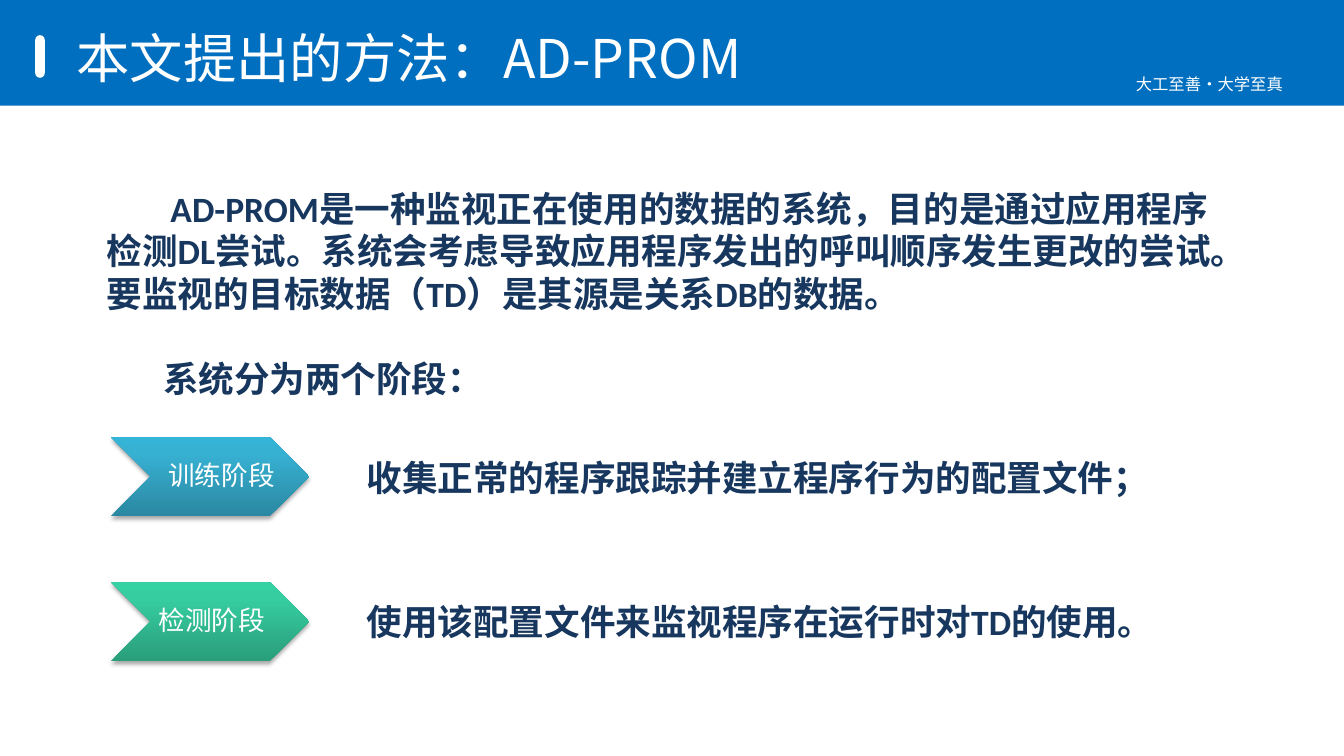
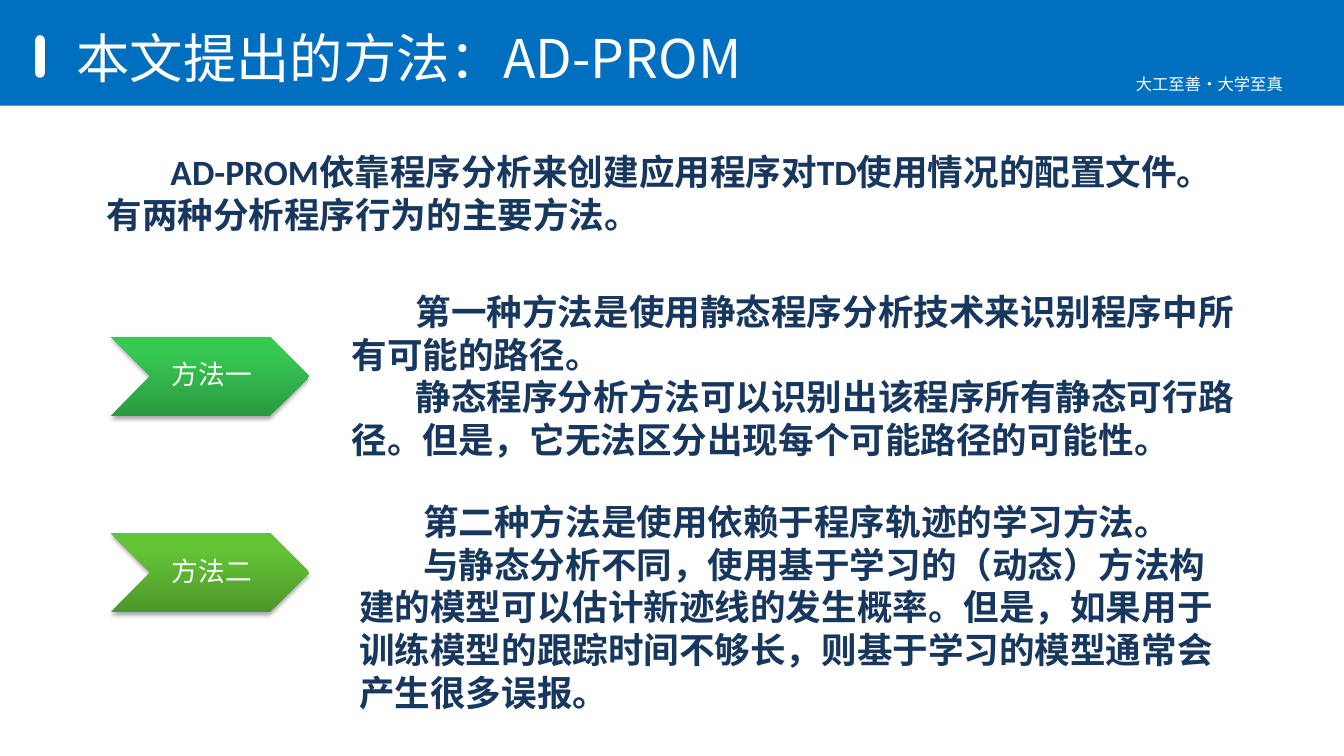
from copy import deepcopy

from lxml import etree
from pptx import Presentation
from pptx.dml.color import RGBColor
from pptx.enum.shapes import MSO_SHAPE as SHAPE
from pptx.enum.text import MSO_ANCHOR as ANCHOR, PP_ALIGN as ALIGN
from pptx.oxml.ns import qn
from pptx.util import Inches, Pt

WIDTH, HEIGHT = 12.6, 7.09
BAND_HEIGHT = 0.99
BLUE, NAVY, WHITE = "006FBF", "17375E", "FFFFFF"
HEAD_FONT, BODY_FONT = "Noto Sans CJK SC", "Calibri"
CHEVRON_LEFT, CHEVRON_WIDTH, CHEVRON_HEIGHT = 1.04, 1.86, 0.74
LABEL_WIDTH, LABEL_LEFT = 1.11, 1.43
INDENT = 0.6
STOPS = (0, 0.8, 1)

TITLE = "本文提出的方法：AD-PROM"
MOTTO = "大工至善·大学至真"

# texts: (left, top, width, height), [(paragraph, first-line indent, space before)]
# steps: label, top, shift of the label, gradient from bottom to top
SLIDES = [
    {
        "texts": [
            ((0.9, 1.7, 10.81, 2.52), [
                ("AD-PROM是一种监视正在使用的数据的系统，目的是通过应用程序检测DL尝试。"
                 "系统会考虑导致应用程序发出的呼叫顺序发生更改的尝试。"
                 "要监视的目标数据（TD）是其源是关系DB的数据。", INDENT, 0),
                ("系统分为两个阶段：", 0.53, 29),
            ]),
            ((3.34, 4.23, 8.36, 0.5),
             [("收集正常的程序跟踪并建立程序行为的配置文件；", 0, 0)]),
            ((3.34, 5.58, 8.36, 0.5),
             [("使用该配置文件来监视程序在运行时对TD的使用。", 0, 0)]),
        ],
        "steps": [
            ("训练阶段", 4.1, 0.09, ("2A88A2", "37B1D2", "34B4D6")),
            ("检测阶段", 5.46, 0, ("2A9E7B", "36CDA0", "34D1A2")),
        ],
    },
    {
        "texts": [
            ((0.9, 1.36, 10.81, 0.91), [
                ("AD-PROM依靠程序分析来创建应用程序对TD使用情况的配置文件。"
                 "有两种分析程序行为的主要方法。", INDENT, 0),
            ]),
            ((3.2, 2.67, 8.5, 1.72), [
                ("第一种方法是使用静态程序分析技术来识别程序中所有可能的路径。", INDENT, 0),
                ("静态程序分析方法可以识别出该程序所有静态可行路径。"
                 "但是，它无法区分出现每个可能路径的可能性。", INDENT, 0),
            ]),
            ((3.27, 4.64, 8.36, 2.12), [
                ("第二种方法是使用依赖于程序轨迹的学习方法。", INDENT, 0),
                ("与静态分析不同，使用基于学习的（动态）方法构建的模型可以估计新迹线的发生概率。"
                 "但是，如果用于训练模型的跟踪时间不够长，则基于学习的模型通常会产生很多误报。",
                 INDENT, 0),
            ]),
        ],
        "steps": [
            ("方法一", 3.16, 0, ("2A9A40", "37C853", "34CC51")),
            ("方法二", 5, 0, ("4D972A", "64C436", "63C734")),
        ],
    },
]


def rgb(value):
    return RGBColor.from_string(value)


def inches(box):
    return [Inches(length) for length in box]


def add_text(slide, box, paragraphs, size, font=HEAD_FONT, color=WHITE, bold=False,
             anchor=ANCHOR.TOP):
    frame = slide.shapes.add_textbox(*inches(box)).text_frame
    frame.word_wrap = True
    frame.vertical_anchor = anchor
    frame.text = "\n".join(text for text, _, _ in paragraphs)
    for paragraph, (_, indent, before) in zip(frame.paragraphs, paragraphs):
        if indent:
            properties = paragraph._p.get_or_add_pPr()
            properties.set("marL", "0")
            properties.set("indent", str(Inches(indent)))
        if before:
            paragraph.space_before = Pt(before)
        for run in paragraph.runs:
            run.font.size, run.font.bold, run.font.name = Pt(size), bold, font
            run.font.color.rgb = rgb(color)
            run_properties = run._r.get_or_add_rPr()
            run_properties.set("lang", "zh-CN")
            # East Asian text takes the same font as Latin text
            etree.SubElement(run_properties, qn("a:ea"), typeface=font)
    return frame


def add_shape(slide, kind, box):
    shape = slide.shapes.add_shape(kind, *inches(box))
    shape.shadow.inherit = False
    shape.line.fill.background()
    return shape


def add_filled(slide, kind, box, color):
    shape = add_shape(slide, kind, box)
    shape.fill.solid()
    shape.fill.fore_color.rgb = rgb(color)
    return shape


def add_header(slide):
    add_filled(slide, SHAPE.RECTANGLE, (0, 0, WIDTH, BAND_HEIGHT), BLUE)
    add_text(slide, (10.55, 0.65, 2.02, 0.29), [(MOTTO, 0, 0)], 11)
    marker = add_filled(slide, SHAPE.ROUNDED_RECTANGLE, (0.33, 0.33, 0.09, 0.4), WHITE)
    marker.adjustments[0] = 0.5
    add_text(slide, (0.62, 0.22, 9.38, 0.63), [(TITLE, 0, 0)], 36, anchor=ANCHOR.MIDDLE)


def add_drop_shadow(shape):
    effects = shape._element.spPr.find(qn("a:effectLst"))
    shadow = etree.SubElement(effects, qn("a:outerShdw"), blurRad=str(Pt(3.1)),
                              dist=str(Pt(1.8)), dir="5400000", rotWithShape="0")
    color = etree.SubElement(shadow, qn("a:srgbClr"), val="000000")
    etree.SubElement(color, qn("a:alpha"), val="35000")


def add_step(slide, label, top, shift, colors):
    chevron = add_shape(slide, SHAPE.CHEVRON,
                        (CHEVRON_LEFT, top, CHEVRON_WIDTH, CHEVRON_HEIGHT))
    chevron.fill.gradient()
    chevron.fill.gradient_angle = 90
    stop_list = chevron._element.spPr.find(qn("a:gradFill")).find(qn("a:gsLst"))
    stop_list.append(deepcopy(stop_list[0]))
    for stop, position, color in zip(chevron.fill.gradient_stops, STOPS, colors):
        stop.position = position
        stop.color.rgb = rgb(color)
    add_drop_shadow(chevron)

    frame = add_text(slide, (LABEL_LEFT + shift, top, LABEL_WIDTH, CHEVRON_HEIGHT),
                     [(label, 0, 0)], 18, anchor=ANCHOR.MIDDLE)
    frame.margin_left = frame.margin_right = Inches(0.03)
    frame.margin_top = frame.margin_bottom = Inches(0.03)
    frame.paragraphs[0].alignment = ALIGN.CENTER
    frame.paragraphs[0].line_spacing = 0.9


def main():
    presentation = Presentation()
    presentation.slide_width, presentation.slide_height = inches((WIDTH, HEIGHT))
    for content in SLIDES:
        slide = presentation.slides.add_slide(presentation.slide_layouts[6])
        add_header(slide)
        for box, paragraphs in content["texts"]:
            add_text(slide, box, paragraphs, 24, BODY_FONT, NAVY, bold=True)
        for step in content["steps"]:
            add_step(slide, *step)
    presentation.save("out.pptx")


if __name__ == "__main__":
    main()
